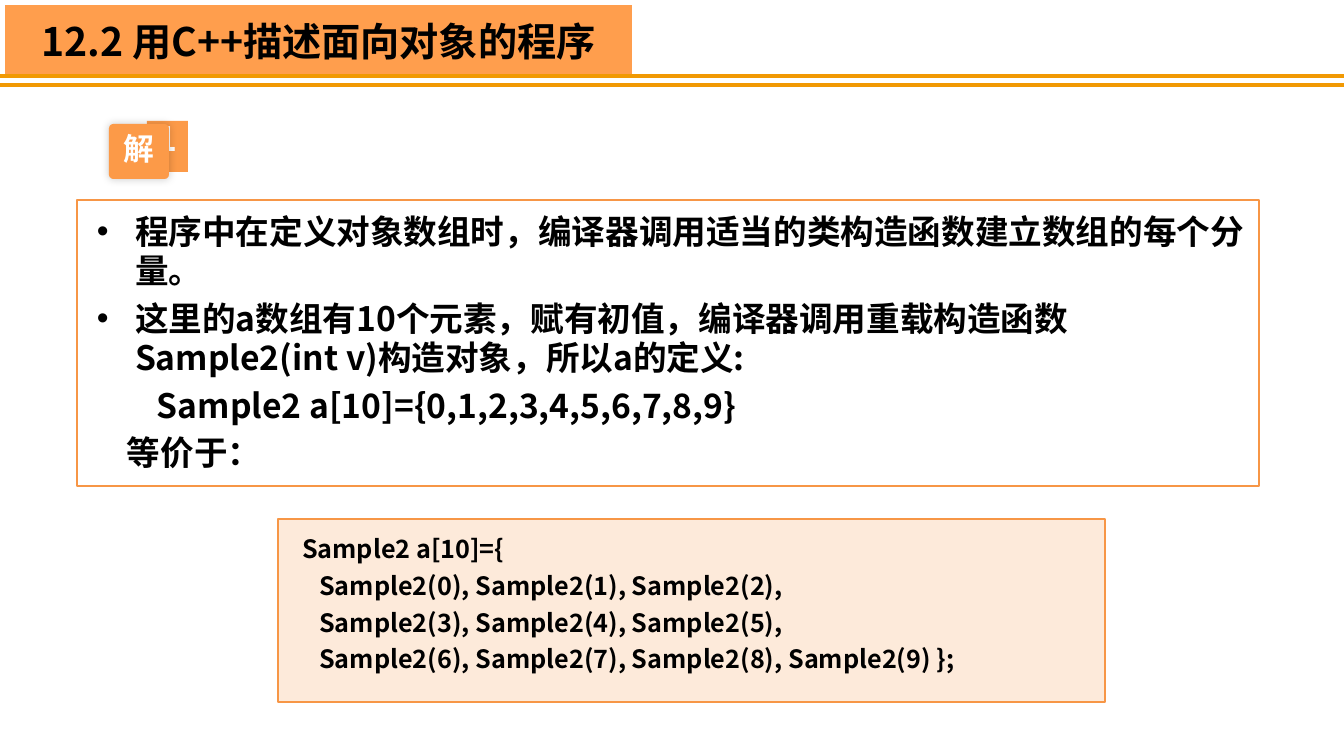
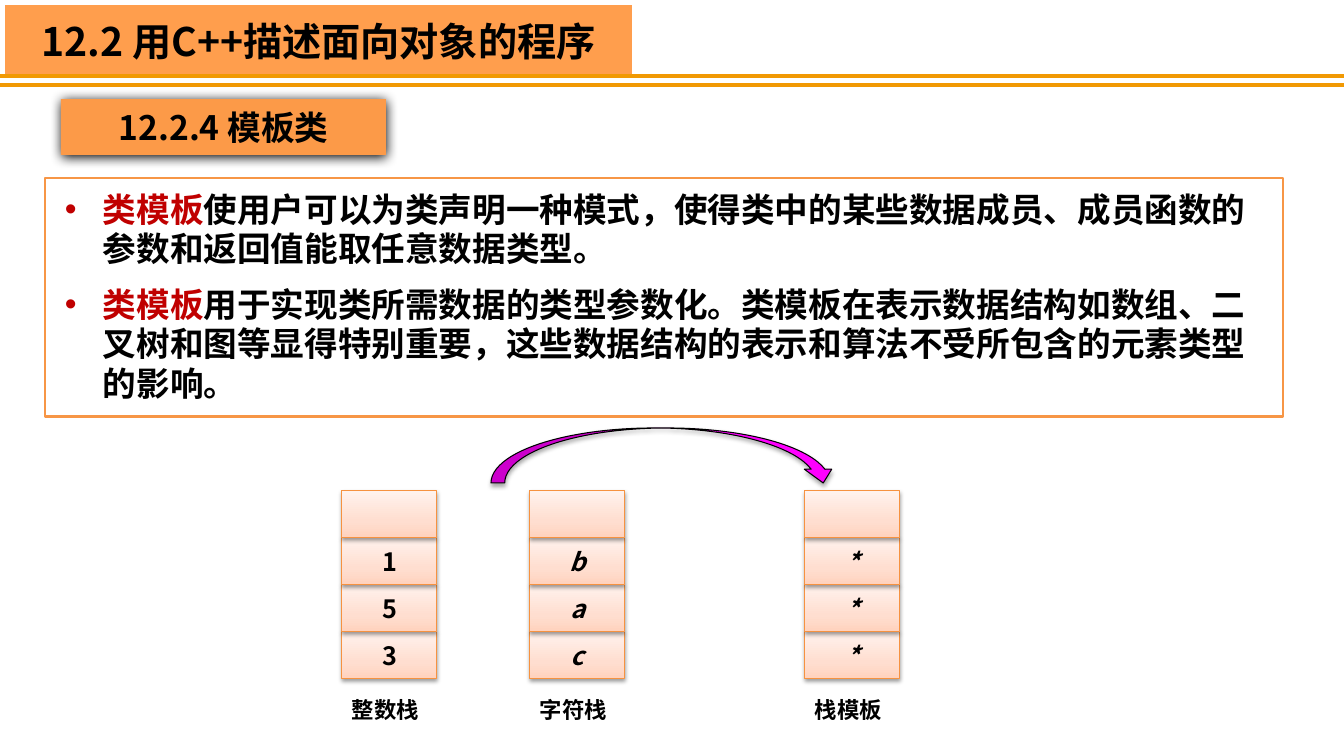
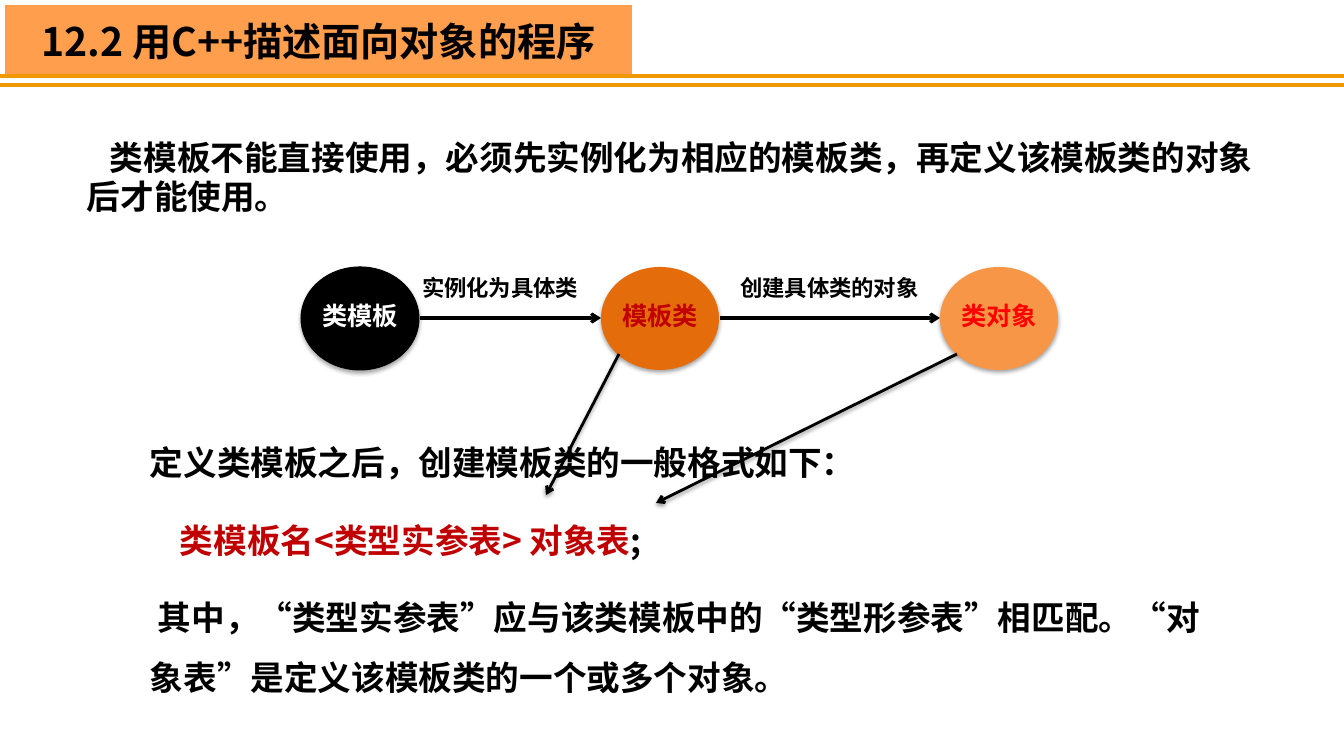
from copy import deepcopy

from lxml.etree import SubElement
from pptx import Presentation
from pptx.dml.color import RGBColor
from pptx.enum.shapes import MSO_CONNECTOR, MSO_SHAPE
from pptx.enum.text import MSO_ANCHOR, PP_ALIGN
from pptx.oxml import parse_xml
from pptx.oxml.ns import nsdecls, qn
from pptx.util import Pt

RECT, ROUND, OVAL = MSO_SHAPE.RECTANGLE, MSO_SHAPE.ROUNDED_RECTANGLE, MSO_SHAPE.OVAL
CURVED_ARROW = MSO_SHAPE.CURVED_DOWN_ARROW
STRAIGHT = MSO_CONNECTOR.STRAIGHT
LEFT, CENTER = PP_ALIGN.LEFT, PP_ALIGN.CENTER
TOP, MIDDLE = MSO_ANCHOR.TOP, MSO_ANCHOR.MIDDLE

PX = 12192000 / 1344
FONT = "Noto Sans CJK SC"
COLORS = {
    "title": "FF9E4D", "rule": "F19903", "frame": "F79646", "badge": "FC9A48",
    "code": "FDEADA", "cell line": "F69240", "template": "E46C0A", "arrow": "FF00FF",
    "term": "C00000", "object": "FF0000", "black": "000000", "white": "FFFFFF",
}
CELL_STOPS = [(0, "FFD2BD"), (0.35, "FFDED0"), (1, "FFF2ED")]

# Shadows: opacity %, blur pt, distance pt, direction in degrees
SHADOWS = {}
for name, (opacity, blur, distance, angle) in {
    "badge": (20, 6, 0, 225),
    "heading": (100, 8.5, 1, 90),
    "cell": (38, 3.1, 1.6, 90),
    "solid": (35, 3.1, 1.8, 90),
}.items():
    SHADOWS[name] = parse_xml(
        f'<a:outerShdw {nsdecls("a")} blurRad="{Pt(blur)}" dist="{Pt(distance)}" '
        f'dir="{angle * 60000}" algn="ctr" rotWithShape="0"><a:srgbClr val="000000">'
        f'<a:alpha val="{opacity * 1000}"/></a:srgbClr></a:outerShdw>')


def draw(slide, kind, at, fill=None, line=None, width=0.75, shadow=None):
    """Preset shape with a plain fill, an outline and an optional shadow."""
    shape = slide.shapes.add_shape(kind, *[round(v * PX) for v in at])
    if fill:
        shape.fill.solid()
        shape.fill.fore_color.rgb = RGBColor.from_string(COLORS[fill])
    else:
        shape.fill.background()
    if line:
        shape.line.color.rgb = RGBColor.from_string(COLORS[line])
        shape.line.width = Pt(width)
    else:
        shape.line.fill.background()
    shape.shadow.inherit = False
    if shadow:
        shape._element.spPr.find(qn("a:effectLst")).append(deepcopy(SHADOWS[shadow]))
    return shape


def write(shape, size, paragraphs, align=LEFT, spacing=None, before=0,
          inset=(10, 5, 10, 5), anchor=TOP, wrap=True, italic=False):
    """Fill a shape with (margin, indent, runs); a hanging indent gets a bullet."""
    frame = shape.text_frame
    frame.word_wrap, frame.vertical_anchor = wrap, anchor
    (frame.margin_left, frame.margin_top,
     frame.margin_right, frame.margin_bottom) = [round(v * PX) for v in inset]
    for number, (margin, indent, runs) in enumerate(paragraphs):
        paragraph = frame.add_paragraph() if number else frame.paragraphs[0]
        properties = paragraph._p.get_or_add_pPr()
        properties.set("marL", str(round(margin * PX)))
        properties.set("indent", str(round(indent * PX)))
        if indent < 0:
            SubElement(properties, qn("a:buFont")).set("typeface", "Arial")
            SubElement(properties, qn("a:buChar")).set("char", "•")
        paragraph.alignment = align
        if spacing:
            paragraph.line_spacing = spacing
        paragraph.space_before = Pt(before if number else 0)
        for text, color in runs:
            run = paragraph.add_run()
            run.text = text
            run.font.size, run.font.bold, run.font.italic = Pt(size), True, italic
            run.font.name = FONT
            run.font.color.rgb = RGBColor.from_string(COLORS[color])
            SubElement(run._r.get_or_add_rPr(), qn("a:ea")).set("typeface", FONT)


deck = Presentation()
deck.slide_width, deck.slide_height = round(1344 * PX), round(756 * PX)
slides = [deck.slides.add_slide(deck.slide_layouts[6]) for _ in range(3)]
array_slide, template_slide, usage_slide = slides

# Shared title band and double rule
connectors = []
for slide in slides:
    band = draw(slide, RECT, (5, 5, 627, 71), "title")
    write(band, 28, [(0, 0, [("12.2 用C++描述面向对象的程序", "black")])],
          CENTER, inset=(10, 12, 10, 12))
    for y in (76, 85):
        connectors.append((slide, (0, y, 1344, y), "rule", 3, False, None))

# Slide 1: explanation of the object array
explanation = draw(array_slide, RECT, (77, 200, 1182, 286), "white", "frame", 2)
write(explanation, 24, [
    (38, -38, [("程序中在定义对象数组时，编译器调用适当的类构造函数建立数组的每个分量。", "black")]),
    (38, -38, [("这里的a数组有10个元素，赋有初值，编译器调用重载构造函数"
                "Sample2(int v)构造对象，所以a的定义:", "black")]),
    (60, 0, [("Sample2 a[10]={0,1,2,3,4,5,6,7,8,9}", "black")]),
    (30, 0, [("等价于：", "black")]),
], spacing=Pt(28), before=6, inset=(20, 12, 10, 12))

code = draw(array_slide, RECT, (278, 519, 827, 183), "code", "frame", 2)
code_lines = [
    "Sample2 a[10]={",
    "   Sample2(0), Sample2(1), Sample2(2),",
    "   Sample2(3), Sample2(4), Sample2(5),",
    "   Sample2(6), Sample2(7), Sample2(8), Sample2(9) };",
]
write(code, 18, [(0, 0, [(text, "black")]) for text in code_lines],
      spacing=0.8, before=9, inset=(24, 20, 10, 20))

number_tab = draw(array_slide, RECT, (147, 121, 41, 51), "badge")
write(number_tab, 24, [(0, 0, [("1", "white")])], CENTER, 0.8, wrap=False)
answer_tab = draw(array_slide, ROUND, (109, 124, 60, 55), "badge", shadow="badge")
answer_tab.adjustments[0] = 0.08
write(answer_tab, 22, [(0, 0, [("解", "white")])], CENTER, 0.8,
      anchor=MIDDLE, wrap=False)

# Slide 2: what a class template is
definition = draw(template_slide, RECT, (45, 178, 1238, 239), "white", "frame", 2)
write(definition, 24, [
    (38, -38, [("类模板", "term"), (text, "black")]) for text in (
        "使用户可以为类声明一种模式，使得类中的某些数据成员、成员函数的参数和返回值能取任意数据类型。",
        "用于实现类所需数据的类型参数化。类模板在表示数据结构如数组、二叉树和图等显得特别重要，"
        "这些数据结构的表示和算法不受所包含的元素类型的影响。")
], spacing=Pt(28), before=12, inset=(20, 12, 10, 12))

# Three stacks, drawn from the bottom cell up
CELL_W, CELL_H, STACK_TOP = 95, 47, 491
for x, label, values, italic in (
    (342, "整数栈", ["", "1", "5", "3"], False),
    (530, "字符栈", ["", "b", "a", "c"], True),
    (805, "栈模板", ["", "*", "*", "*"], True),
):
    for row in reversed(range(len(values))):
        cell = draw(template_slide, RECT, (x, STACK_TOP + row * CELL_H, CELL_W, CELL_H),
                    None, "cell line", shadow="cell")
        cell.fill.gradient()
        cell.fill.gradient_angle = 90
        stops = cell._element.spPr.find(".//" + qn("a:gsLst"))
        stops.insert(1, deepcopy(stops[0]))
        for stop, (position, color) in zip(cell.fill.gradient_stops, CELL_STOPS):
            stop.position = position
            stop.color.rgb = RGBColor.from_string(color)
        if values[row]:
            write(cell, 18, [(0, 0, [(values[row], "black")])], CENTER,
                  anchor=MIDDLE, wrap=False, italic=italic)
    caption = draw(template_slide, RECT, (x, 696, CELL_W, 32))
    write(caption, 16, [(0, 0, [(label, "black")])], spacing=0.8)

draw(template_slide, CURVED_ARROW, (491, 428, 346, 55), "arrow", "black", shadow="solid")
heading = draw(template_slide, RECT, (61, 99, 325, 56), "badge", shadow="heading")
write(heading, 24, [(0, 0, [("12.2.4 模板类", "black")])], CENTER,
      inset=(10, 8, 10, 8))

# Slide 3: using a class template
rule_text = draw(usage_slide, RECT, (77, 133, 1215, 89))
write(rule_text, 24, [(0, 23, [(
    "类模板不能直接使用，必须先实例化为相应的模板类，再定义该模板类的对象后才能使用。",
    "black")])], spacing=Pt(28))

syntax = draw(usage_slide, RECT, (140, 417, 1088, 295))
write(syntax, 24, [
    (0, 0, [("定义类模板之后，创建模板类的一般格式如下：", "black")]),
    (30, 0, [("类模板名<类型实参表> 对象表", "term"), (";", "black")]),
    (0, 8, [("其中，“类型实参表”应与该类模板中的“类型形参表”相匹配。"
             "“对象表”是定义该模板类的一个或多个对象。", "black")]),
], spacing=1.5, before=12)

for x, label, fill, line, color in (
    (301, "类模板", "black", "black", "white"),
    (601, "模板类", "template", None, "term"),
    (940, "类对象", "frame", None, "object"),
):
    stage = draw(usage_slide, OVAL, (x, 267, 118, 103), fill, line, shadow="solid")
    write(stage, 18, [(0, 0, [(label, color)])], CENTER, 0.8,
          anchor=MIDDLE, wrap=False)

for x, width, label, align in (
    (412, 181, "实例化为具体类", LEFT),
    (727, 205, "创建具体类的对象", CENTER),
):
    step = draw(usage_slide, RECT, (x, 274, width, 32))
    write(step, 16, [(0, 0, [(label, "black")])], align, 0.8)

connectors += [
    (usage_slide, (420, 318, 601, 318), "black", 2.25, True, None),
    (usage_slide, (720, 318, 940, 318), "black", 2.25, True, None),
    (usage_slide, (619, 354, 546, 495), "black", 2, True, "cell"),
    (usage_slide, (957, 354, 656, 503), "black", 2, True, "cell"),
]

# Rules and arrows of all slides
for slide, ends, color, width, arrow, shadow in connectors:
    connector = slide.shapes.add_connector(STRAIGHT, *[round(v * PX) for v in ends])
    connector.line.color.rgb = RGBColor.from_string(COLORS[color])
    connector.line.width = Pt(width)
    if arrow:
        SubElement(connector.line._ln, qn("a:tailEnd")).set("type", "arrow")
    effects = SubElement(connector._element.spPr, qn("a:effectLst"))
    if shadow:
        effects.append(deepcopy(SHADOWS[shadow]))

deck.save("out.pptx")
